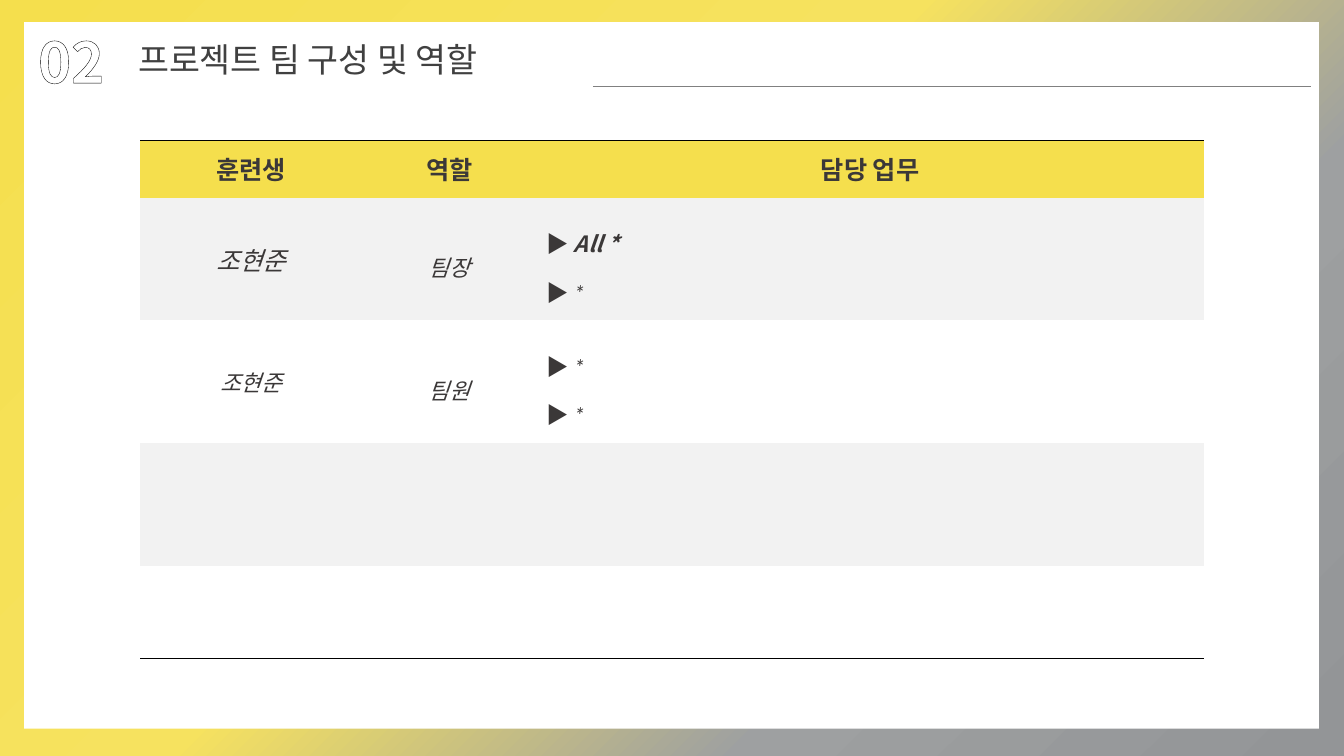
from lxml import etree
from pptx import Presentation
from pptx.dml.color import RGBColor
from pptx.enum.dml import MSO_PATTERN
from pptx.enum.shapes import MSO_CONNECTOR, MSO_SHAPE
from pptx.enum.text import MSO_ANCHOR, MSO_AUTO_SIZE, PP_ALIGN
from pptx.oxml.ns import qn
from pptx.util import Pt

PX = 9144
LEFT, CENTER = PP_ALIGN.LEFT, PP_ALIGN.CENTER
TOP, MIDDLE = MSO_ANCHOR.TOP, MSO_ANCHOR.MIDDLE
RECTANGLE, STRAIGHT = MSO_SHAPE.RECTANGLE, MSO_CONNECTOR.STRAIGHT
DIAGONAL = MSO_PATTERN.DARK_UPWARD_DIAGONAL
FIT_SHAPE, NO_FIT = MSO_AUTO_SIZE.SHAPE_TO_FIT_TEXT, MSO_AUTO_SIZE.NONE
NO_GRID = "{2D5ABB26-0587-4C30-8999-92F81FD0307C}"
KOREAN, LATIN = "Noto Sans CJK KR", "Calibri"
COLORS = {
    "yellow": "F5DF4D", "pale_yellow": "F6E25F", "light_gray": "9EA0A1",
    "gray": "939597", "rule": "808080", "title": "404040", "ink": "3B3838",
    "band": "F2F2F2", "white": "FFFFFF", "black": "000000",
}


def rgb(name):
    return RGBColor.from_string(COLORS[name])


def add_color(parent, name, alpha=100):
    color = etree.SubElement(parent, qn("a:srgbClr"), val=COLORS[name])
    if alpha < 100:
        etree.SubElement(color, qn("a:alpha"), val=str(alpha * 1000))


def add_line(parent, tag, color, width):
    line = etree.Element(qn(tag), w=str(Pt(width)))
    add_color(etree.SubElement(line, qn("a:solidFill")), color)
    parent.insert(0, line)


class TeamSlide:
    def __init__(self, deck):
        self.slide = deck.slides.add_slide(deck.slide_layouts[5])
        self.shapes = self.slide.shapes

    def background(self, stops):
        fill = self.slide.background.fill
        fill.gradient()
        fill.gradient_angle = 315
        stop_list = self.slide.element.find(".//" + qn("a:gsLst"))
        for old in list(stop_list):
            stop_list.remove(old)
        for position, color, alpha in stops:
            stop = etree.SubElement(stop_list, qn("a:gs"), pos=str(position * 1000))
            add_color(stop, color, alpha)

    def panel(self, x, y, w, h):
        panel = self.shapes.add_shape(RECTANGLE, x * PX, y * PX, w * PX, h * PX)
        panel.shadow.inherit = False
        panel.fill.solid()
        panel.fill.fore_color.rgb = rgb("white")
        panel.line.fill.background()

    def style(self, run, size, font=KOREAN, color="ink", bold=False, italic=False):
        run.font.size = Pt(size)
        run.font.bold, run.font.italic = bold, italic
        run.font.color.rgb = rgb(color)
        run.font.name = font
        etree.SubElement(run.font._element, qn("a:ea"), typeface=KOREAN)

    def outline(self, run, color, width):
        add_line(run.font._element, "a:ln", color, width)

    def section_number(self, text, x, y, w, h):
        frame = self.shapes.add_textbox(x * PX, y * PX, w * PX, h * PX).text_frame
        frame.word_wrap = True
        frame.auto_size = FIT_SHAPE
        frame.text = text
        number = frame.paragraphs[0].runs[0]
        self.style(number, 40, bold=True)
        number.font.fill.patterned()
        number.font.fill.pattern = DIAGONAL
        number.font.fill.fore_color.rgb = rgb("ink")
        number.font.fill.back_color.rgb = rgb("white")
        self.outline(number, "black", 1.25)

    def title(self, text, x, y, w, h):
        title = self.shapes.title
        title.left, title.top, title.width, title.height = (v * PX for v in (x, y, w, h))
        frame = title.text_frame
        frame.text = text
        frame.word_wrap = False
        frame.auto_size = NO_FIT
        frame.vertical_anchor = TOP
        frame.paragraphs[0].alignment = LEFT
        self.style(frame.paragraphs[0].runs[0], 24, color="title")
        title.element.getparent().append(title.element)

    def rule(self, x1, x2, y):
        rule = self.shapes.add_connector(STRAIGHT, x1 * PX, y * PX, x2 * PX, y * PX)
        rule.line.color.rgb = rgb("rule")
        rule.line.width = Pt(1)
        etree.SubElement(rule.element.spPr, qn("a:effectLst"))

    def table(self, x, y, widths, heights):
        frame = self.shapes.add_table(len(heights), len(widths), x * PX, y * PX,
                                      sum(widths) * PX, sum(heights) * PX)
        table = frame.table
        table.first_row = table.horz_banding = False
        frame.element.find(".//" + qn("a:tableStyleId")).text = NO_GRID
        for column, width in zip(table.columns, widths):
            column.width = width * PX
        for row, height in zip(table.rows, heights):
            row.height = height * PX
        last = len(heights) - 1
        for index, row in enumerate(table.rows):
            band = "yellow" if index == 0 else "band" if index % 2 else "white"
            for cell in row.cells:
                cell.vertical_anchor = MIDDLE
                cell.fill.solid()
                cell.fill.fore_color.rgb = rgb(band)
                if index in (0, last):
                    edge = "a:lnT" if index == 0 else "a:lnB"
                    add_line(cell.fill._xPr, edge, "black", 0.75)
        return table

    def label(self, cell, text, size, spacing=1.0, bold=False):
        cell.text = text
        paragraph = cell.text_frame.paragraphs[0]
        paragraph.alignment = CENTER
        paragraph.line_spacing = spacing
        self.style(paragraph.runs[0], size, LATIN, bold=bold, italic=not bold)

    def duties(self, cell, duties):
        cell.text = "\n".join("▶ " for _ in duties)
        for paragraph, (duty, font, bold) in zip(cell.text_frame.paragraphs, duties):
            paragraph.line_spacing = 1.5
            marker = paragraph.runs[0]
            self.style(marker, 16, bold=True)
            self.outline(marker, "gray", 1)
            task = paragraph.add_run()
            task.text = duty
            self.style(task, 16, font, bold=bold, italic=True)


def main():
    deck = Presentation()
    deck.slide_width, deck.slide_height = 1333 * PX, 750 * PX
    page = TeamSlide(deck)
    page.background([(0, "yellow", 100), (44, "pale_yellow", 70),
                     (71, "light_gray", 70), (100, "gray", 100)])
    page.panel(24, 22, 1284, 701)
    page.section_number("02", 28, 22, 127, 77)
    page.rule(588, 1300, 86)
    page.title("프로젝트 팀 구성 및 역할", 127, 34, 424, 50)

    roster = page.table(139, 139, [220, 173, 662], [57, 122, 122, 122, 91])
    for column, heading in enumerate(["훈련생", "역할", "담당 업무"]):
        page.label(roster.cell(0, column), heading, 18, bold=True)
    open_duty = ("*", LATIN, False)
    members = [
        ("조현준", 18, "팀장", [("All *", KOREAN, True), open_duty]),
        ("조현준", 16, "팀원", [open_duty, open_duty]),
    ]
    for row, (trainee, size, role, duties) in enumerate(members, 1):
        page.label(roster.cell(row, 0), trainee, size)
        page.label(roster.cell(row, 1), role, 16, spacing=1.5)
        page.duties(roster.cell(row, 2), duties)
    deck.save("out.pptx")


if __name__ == "__main__":
    main()
